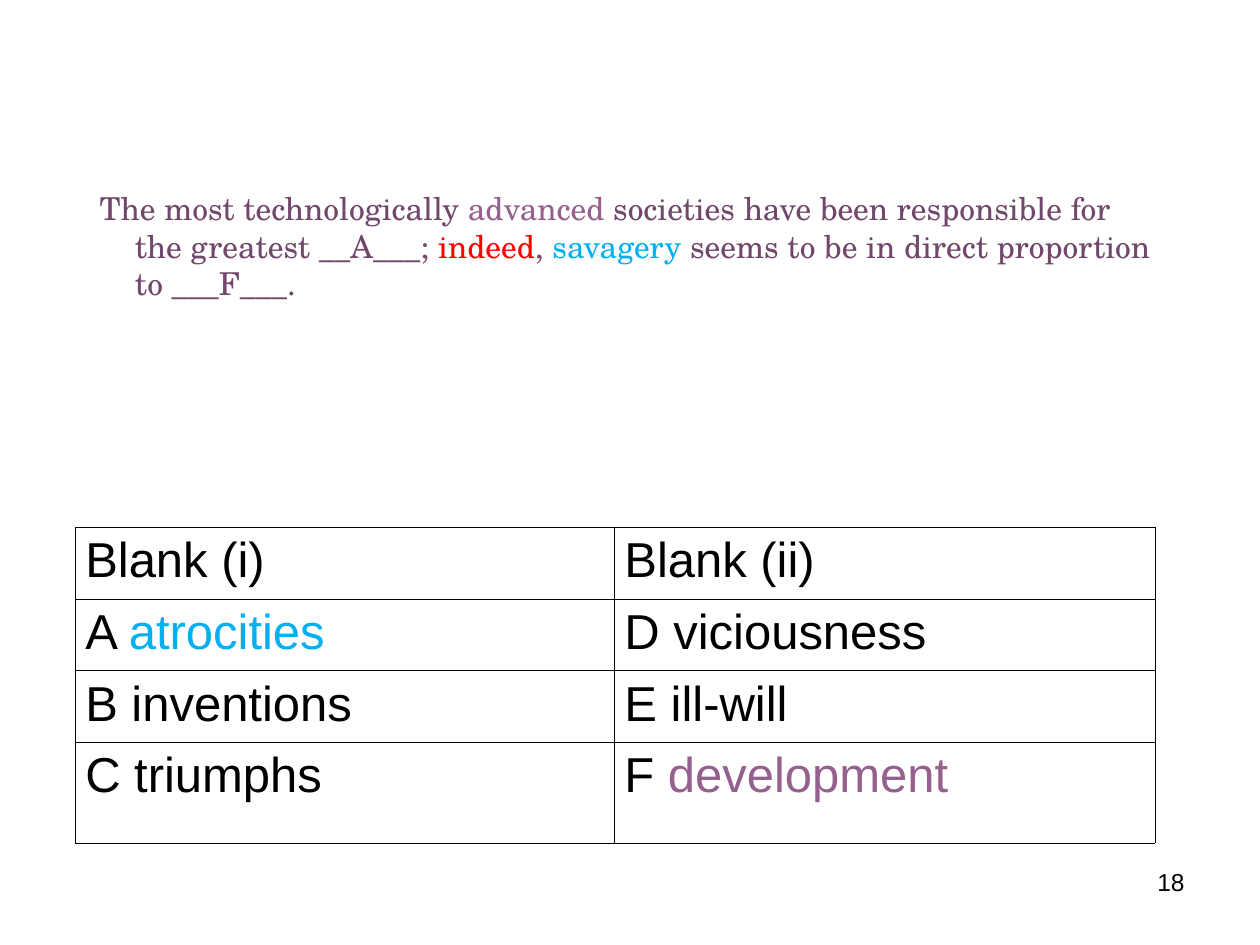
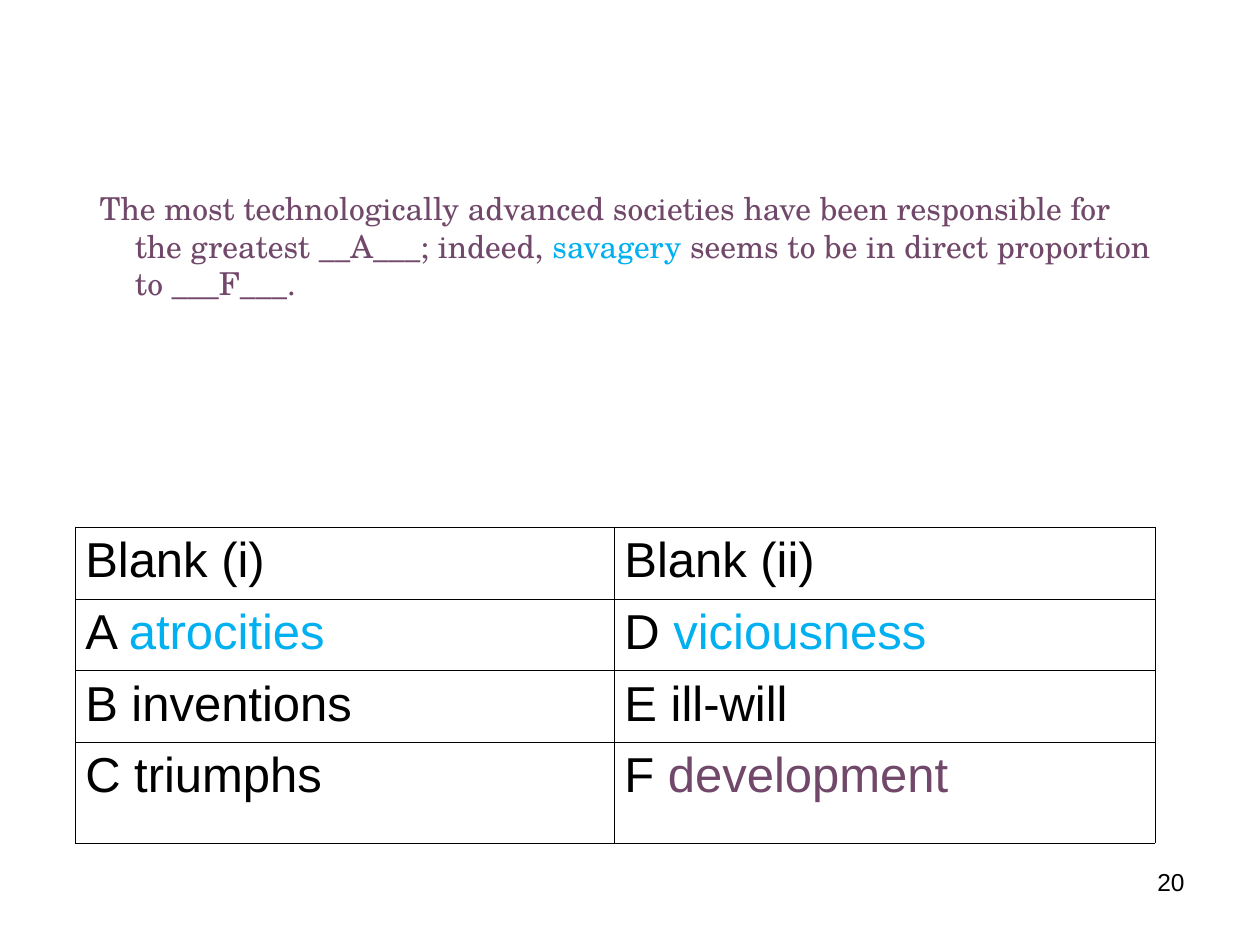
from lxml.etree import SubElement
from pptx import Presentation
from pptx.dml.color import RGBColor
from pptx.enum.text import PP_ALIGN as Align
from pptx.oxml.ns import qn
from pptx.util import Cm, Pt

COLORS = {
    "ink": "000000",
    "plum": "71486A",
    "mauve": "96608E",
    "red": "FF0000",
    "blue": "00B0F0",
}
SENTENCE_FONT, TABLE_FONT = "TeX Gyre Schola", "Arial"
COLUMN_WIDTHS = [10.87, 10.9]
ROW_HEIGHTS = [1.27, 1.35, 1.27, 2.03]
CHOICES = [
    ("Blank (i)", "Blank (ii)"),
    ("A atrocities", "D viciousness"),
    ("B inventions", "E ill-will"),
    ("C triumphs", "F development"),
]

# Per slide: page number, coloured sentence pieces, coloured choices
QUESTIONS = [
    (
        "18",
        [
            ("The most technologically", "plum"),
            (" advanced ", "mauve"),
            ("societies have been responsible for the greatest __A___; ", "plum"),
            ("indeed", "red"),
            (", ", "plum"),
            ("savagery", "blue"),
            (" seems to be in direct proportion to ___F___.", "plum"),
        ],
        {"atrocities": "blue", "development": "mauve"},
    ),
    (
        "20",
        [
            ("The most technologically advanced societies have been responsible "
             "for the greatest __A___; indeed, ", "plum"),
            ("savagery", "blue"),
            (" seems to be in direct proportion to ___F___.", "plum"),
        ],
        {"atrocities": "blue", "viciousness": "blue", "development": "plum"},
    ),
]


def add_runs(paragraph, pieces, font_name, size):
    """Add (text, colour name) pieces to the paragraph as runs."""
    for text, color in pieces:
        run = paragraph.add_run()
        run.text = text
        run.font.name = font_name
        run.font.size = Pt(size)
        run.font.color.rgb = RGBColor.from_string(COLORS[color])


def draw_borders(cell):
    properties = cell._tc.get_or_add_tcPr()
    for side in ("a:lnL", "a:lnR", "a:lnT", "a:lnB"):
        line = SubElement(properties, qn(side), w=str(Pt(0.11)))
        fill = SubElement(line, qn("a:solidFill"))
        SubElement(fill, qn("a:srgbClr"), val=COLORS["ink"])


prs = Presentation()
prs.slide_width, prs.slide_height = Cm(25.4), Cm(19.05)

for number, sentence_pieces, highlights in QUESTIONS:
    slide = prs.slides.add_slide(prs.slide_layouts[6])

    page_number = slide.shapes.add_textbox(Cm(18.21), Cm(17.35), Cm(5.92), Cm(1.32))
    page_number.text_frame.word_wrap = True
    paragraph = page_number.text_frame.paragraphs[0]
    paragraph.alignment = Align.RIGHT
    add_runs(paragraph, [(number, "ink")], TABLE_FONT, 14)

    sentence = slide.shapes.add_textbox(Cm(1.5), Cm(3.68), Cm(22.2), Cm(13.46))
    sentence.text_frame.word_wrap = True
    paragraph = sentence.text_frame.paragraphs[0]
    paragraph.space_before = Pt(18)
    hanging = paragraph._p.get_or_add_pPr()
    hanging.set("marL", str(Cm(0.97)))
    hanging.set("indent", str(Cm(-0.71)))
    add_runs(paragraph, sentence_pieces, SENTENCE_FONT, 18)

    choices = slide.shapes.add_table(
        len(ROW_HEIGHTS), len(COLUMN_WIDTHS), Cm(1.52), Cm(10.62),
        Cm(sum(COLUMN_WIDTHS)), Cm(sum(ROW_HEIGHTS))).table
    choices.first_row = choices.horz_banding = False
    for column, width in zip(choices.columns, COLUMN_WIDTHS):
        column.width = Cm(width)
    for row, height, labels in zip(choices.rows, ROW_HEIGHTS, CHOICES):
        row.height = Cm(height)
        for cell, label in zip(row.cells, labels):
            cell.margin_left = cell.margin_right = Cm(0.2)
            cell.margin_top = cell.margin_bottom = Cm(0.13)
            draw_borders(cell)
            cell.fill.background()
            letter, word = label.split(" ", 1)
            if word in highlights:
                pieces = [(f"{letter} ", "ink"), (word, highlights[word])]
            else:
                pieces = [(label, "ink")]
            paragraph = cell.text_frame.paragraphs[0]
            paragraph.alignment = Align.JUSTIFY
            add_runs(paragraph, pieces, TABLE_FONT, 28)

prs.save("out.pptx")
